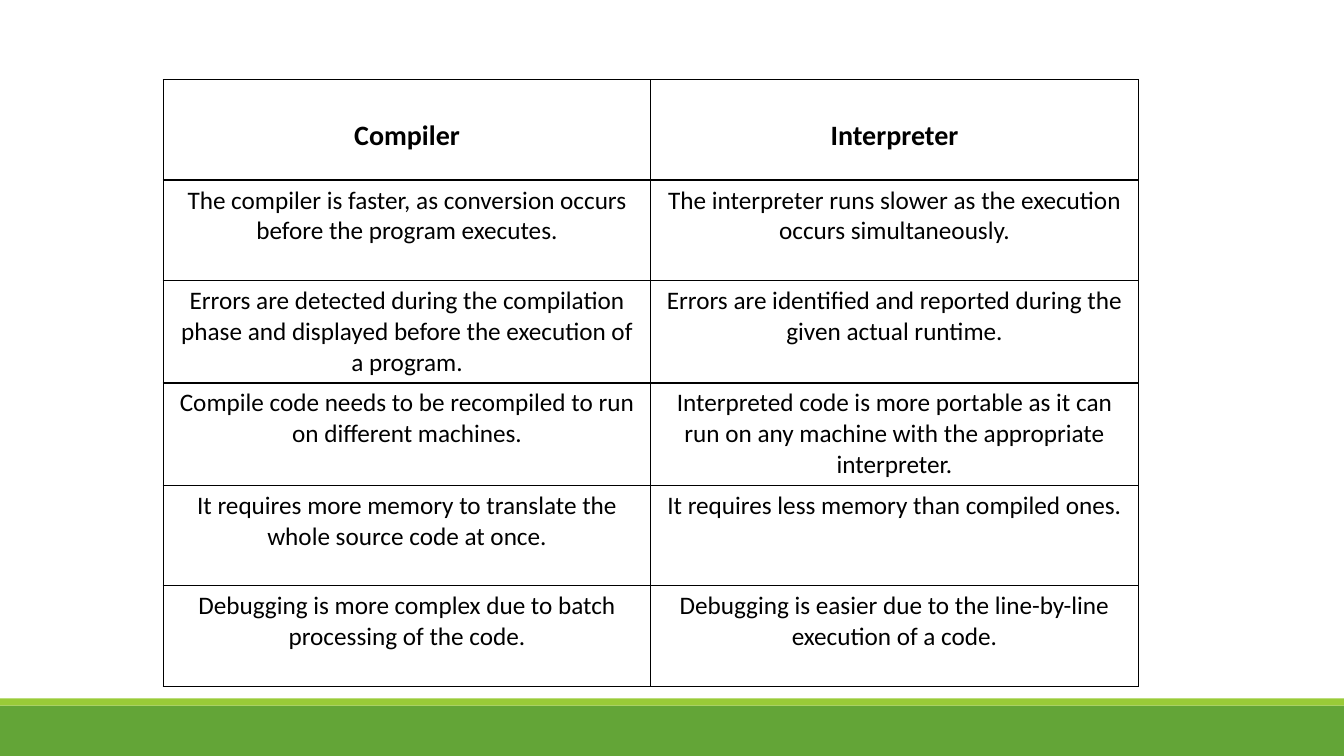
from dataclasses import dataclass

from lxml import etree
from pptx import Presentation
from pptx.dml.color import RGBColor
from pptx.enum.shapes import MSO_SHAPE
from pptx.enum.text import MSO_ANCHOR, PP_ALIGN
from pptx.oxml.ns import qn
from pptx.util import Inches, Pt

RECT = MSO_SHAPE.RECTANGLE
CENTER = PP_ALIGN.CENTER
TOP = MSO_ANCHOR.TOP


@dataclass(frozen=True)
class Theme:
    font: str = "Calibri"
    ink: str = "000000"
    green: str = "63A537"
    lime: str = "99CB38"
    head: int = 20
    body: int = 18
    rule: int = 1


ROWS = [
    ("Compiler", "Interpreter"),
    ("The compiler is faster, as conversion occurs before the program executes.",
     "The interpreter runs slower as the execution occurs simultaneously."),
    ("Errors are detected during the compilation phase and displayed before "
     "the execution of a program.",
     "Errors are identified and reported during the given actual runtime."),
    ("Compile code needs to be recompiled to run on different machines.",
     "Interpreted code is more portable as it can run on any machine with "
     "the appropriate interpreter."),
    ("It requires more memory to translate the whole source code at once.",
     "It requires less memory than compiled ones."),
    ("Debugging is more complex due to batch processing of the code.",
     "Debugging is easier due to the line-by-line execution of a code."),
]


def write(frame, text, *, font, size, color, bold=False, space=1.0):
    para = frame.paragraphs[0]
    para.alignment = CENTER
    para.line_spacing = space
    run = para.add_run()
    run.text = text
    run.font.name = font
    run.font.size = Pt(size)
    run.font.bold = bold
    run.font.color.rgb = RGBColor.from_string(color)


def outline(cell, color, width):
    """Draw all four borders; they must precede any fill in the cell."""
    props = cell._tc.get_or_add_tcPr()
    for place, side in enumerate(("lnL", "lnR", "lnT", "lnB")):
        line = etree.Element(qn(f"a:{side}"), w=str(Pt(width)))
        fill = etree.SubElement(line, qn("a:solidFill"))
        etree.SubElement(fill, qn("a:srgbClr"), val=color)
        props.insert(place, line)


class Page:
    """Holds the theme and the slide being drawn."""

    def __init__(self, slide, theme):
        self.slide = slide
        self.theme = theme

    def band(self, top, height, color):
        shape = self.slide.shapes.add_shape(
            RECT, Inches(0), Inches(top), Inches(13.33), Inches(height))
        shape.shadow.inherit = False
        shape.fill.solid()
        shape.fill.fore_color.rgb = RGBColor.from_string(color)
        shape.line.fill.background()

    def table(self, rows, left, top, width, height):
        look = self.theme
        grid = self.slide.shapes.add_table(
            len(rows), len(rows[0]), Inches(left), Inches(top),
            Inches(width), Inches(height)).table
        grid.horz_banding = False
        for r, row in enumerate(rows):
            head = r == 0
            for c, text in enumerate(row):
                cell = grid.cell(r, c)
                cell.fill.background()
                cell.vertical_anchor = TOP
                outline(cell, look.ink, look.rule)
                write(cell.text_frame, text, font=look.font, color=look.ink,
                      size=look.head if head else look.body, bold=head,
                      space=2.0 if head else 1.0)


def main():
    deck = Presentation()
    deck.slide_width = Inches(13.33)
    deck.slide_height = Inches(7.5)
    theme = Theme()
    page = Page(deck.slides.add_slide(deck.slide_layouts[6]), theme)
    page.band(7, 0.5, theme.green)
    page.band(6.93, 0.07, theme.lime)
    page.table(ROWS, 1.62, 0.79, 9.67, 5.98)
    deck.save("out.pptx")


if __name__ == "__main__":
    main()
